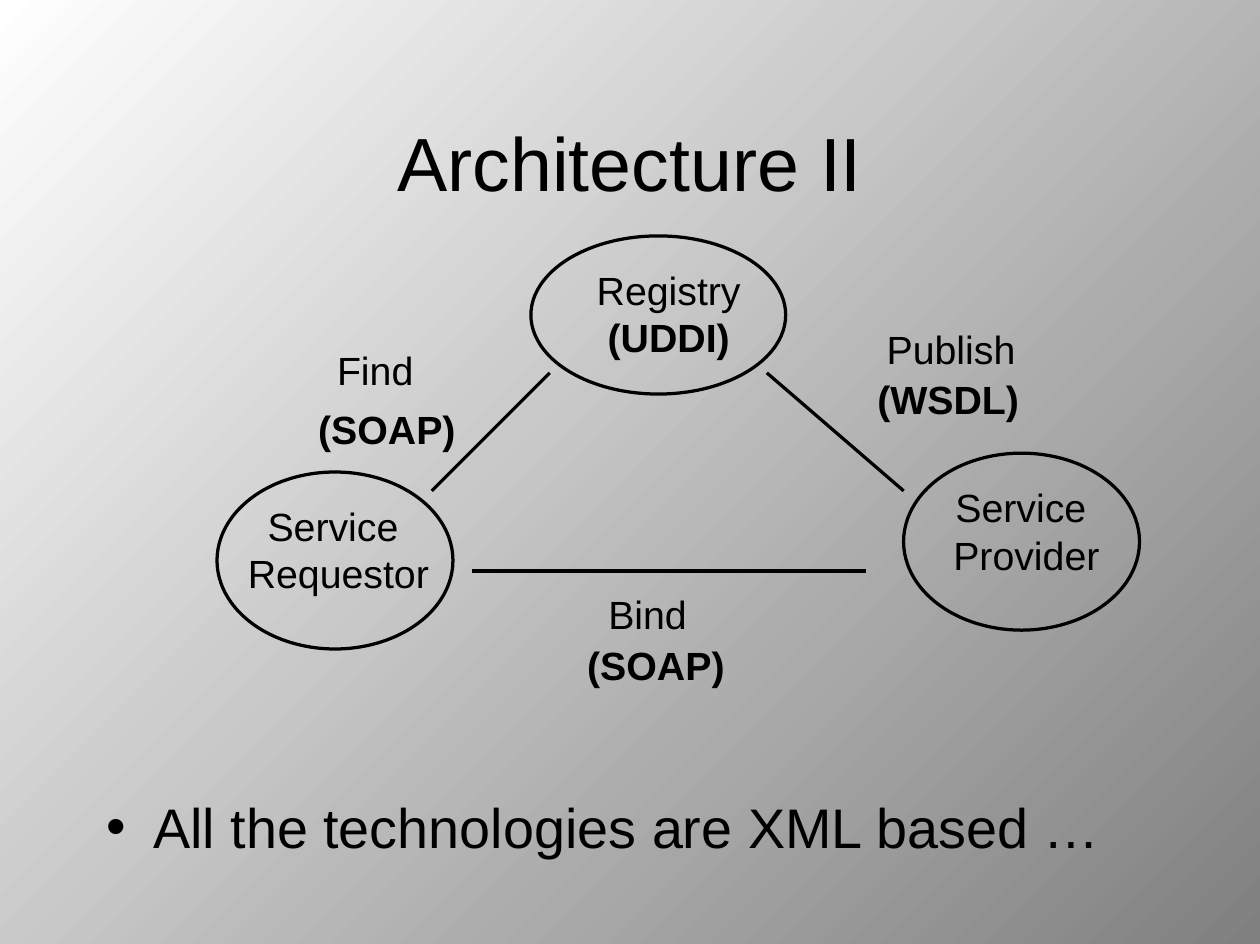
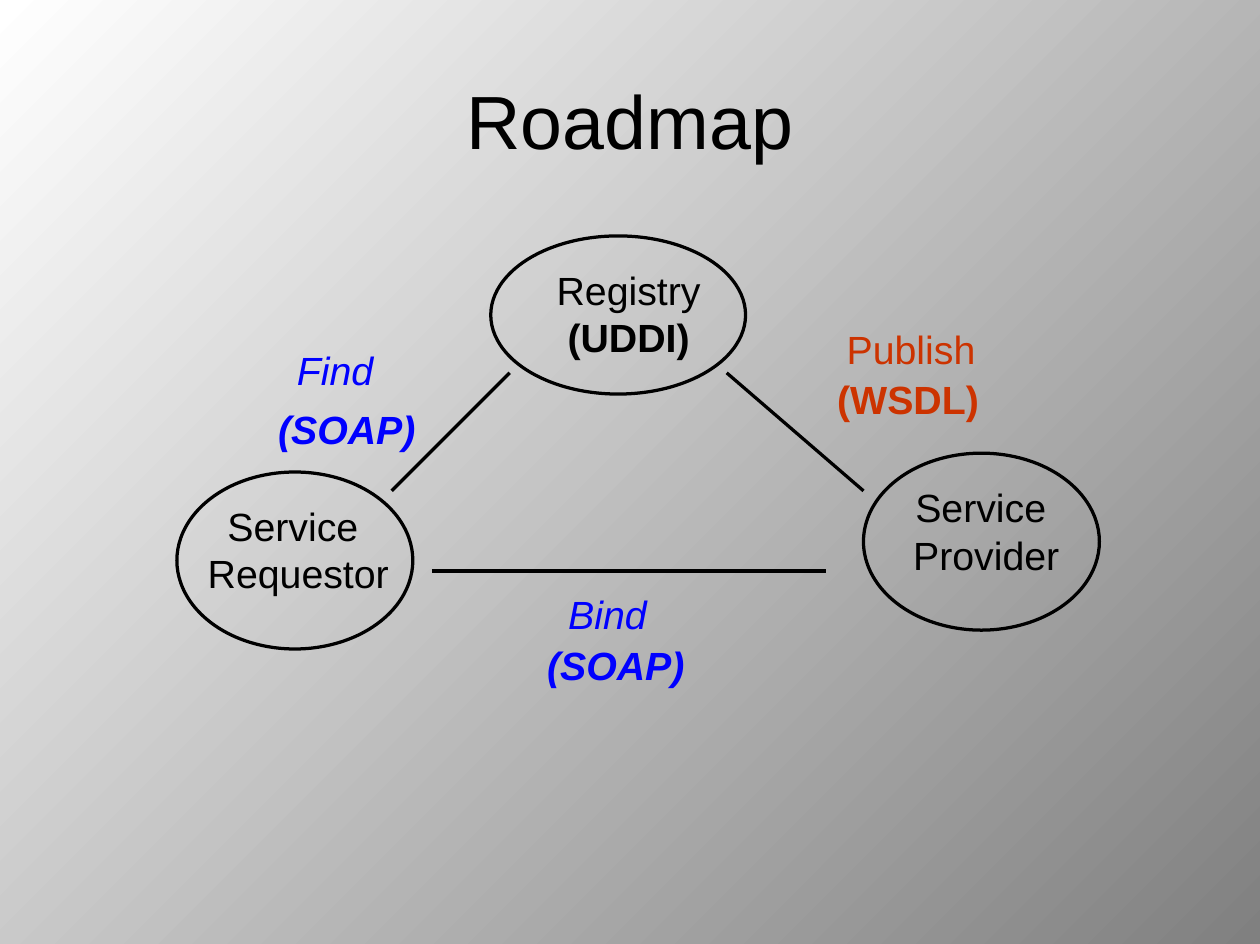
"""Build two slides on the architecture of web services."""
from dataclasses import dataclass

from lxml.etree import SubElement
from pptx import Presentation
from pptx.dml.color import RGBColor
from pptx.enum.shapes import MSO_CONNECTOR, MSO_SHAPE
from pptx.enum.text import MSO_ANCHOR, MSO_AUTO_SIZE, PP_ALIGN
from pptx.oxml.ns import qn
from pptx.util import Inches, Pt


@dataclass(frozen=True)
class Theme:
    font: str = "Arial"
    ink: RGBColor = RGBColor(0, 0, 0)
    find: RGBColor = RGBColor(0x00, 0x00, 0xFF)
    publish: RGBColor = RGBColor(0xCC, 0x33, 0x00)
    shade: RGBColor = RGBColor(0x80, 0x80, 0x80)
    light: RGBColor = RGBColor(0xFF, 0xFF, 0xFF)
    title_size: Pt = Pt(23)
    body_size: Pt = Pt(17)
    label_size: Pt = Pt(12)
    line_width: Pt = Pt(0.99)


theme = Theme()


def add_span(para, text, size, color=theme.ink, bold=False, italic=False):
    span = para.add_run()
    span.text = text
    span.font.name = theme.font
    span.font.size = size
    span.font.color.rgb = color
    span.font.bold = bold
    span.font.italic = italic


def add_label(shapes, place, lines, align, wrap=False, color=theme.ink, italic=False):
    box = shapes.add_textbox(*map(Inches, place))
    frame = box.text_frame
    frame.word_wrap = wrap
    frame.auto_size = MSO_AUTO_SIZE.SHAPE_TO_FIT_TEXT
    for index, (text, bold) in enumerate(lines):
        para = frame.add_paragraph() if index else frame.paragraphs[0]
        para.alignment = align
        add_span(para, text, theme.label_size, color, bold, italic)


roles = [
    ((2.25, 1, 1.08, 0.67), (2.42, 1.08, 0.83, 0.5), True,
     [("Registry", False), ("(UDDI)", True)]),
    ((0.92, 2, 1, 0.75), (0.95, 2.08, 0.97, 0.5), False,
     [("Service ", False), ("Requestor", False)]),
    ((3.83, 1.92, 1, 0.75), (3.94, 2, 0.82, 0.5), False,
     [("Service ", False), ("Provider", False)]),
]
links = [
    (2.33, 1.58, 1.83, 2.08),
    (3.25, 1.58, 3.83, 2.08),
    (2, 2.42, 3.67, 2.42),
]
actions = [
    ("find", "Find", (1.33, 1.42, 0.55, 0.3), False),
    ("publish", "Publish", (3.66, 1.33, 0.77, 0.3), False),
    ("find", "Bind", (2.48, 2.45, 0.56, 0.3), False),
    ("find", "(SOAP)", (1.25, 1.67, 0.78, 0.3), True),
    ("find", "(SOAP)", (2.39, 2.67, 0.78, 0.3), True),
    ("publish", "(WSDL)", (3.62, 1.54, 0.8, 0.3), True),
]
plain = {"find": (theme.ink, False), "publish": (theme.ink, False)}
highlighted = {"find": (theme.find, True), "publish": (theme.publish, False)}
pages = [
    ("Architecture II", 0.35, 0, plain, "All the technologies are XML based …"),
    ("Roadmap", 0.17, -0.17, highlighted, None),
]

deck = Presentation()
deck.slide_width = Inches(5.34)
deck.slide_height = Inches(4)

backdrop = deck.slide_master.background.fill
backdrop.gradient()
backdrop.gradient_angle = 135
for stop, position, color in zip(backdrop.gradient_stops, (0, 1), (theme.shade, theme.light)):
    stop.position = position
    stop.color.rgb = color

for heading, title_top, shift, styles, remark in pages:
    page = deck.slides.add_slide(deck.slide_layouts[5])
    title = page.shapes.title
    title.left, title.top = Inches(0.4), Inches(title_top)
    title.width, title.height = Inches(4.54), Inches(0.67)
    frames = [title.text_frame]
    title.text_frame.vertical_anchor = MSO_ANCHOR.MIDDLE
    para = title.text_frame.paragraphs[0]
    para.alignment = PP_ALIGN.CENTER
    add_span(para, heading, theme.title_size)

    if remark:
        box = page.shapes.add_textbox(Inches(0.4), Inches(3.33), Inches(4.54), Inches(0.45))
        frames.append(box.text_frame)
        para = box.text_frame.paragraphs[0]
        para.space_before = Pt(4.2)
        properties = para._p.get_or_add_pPr()
        properties.set("marL", str(Inches(0.2)))
        properties.set("indent", str(Inches(-0.2)))
        SubElement(properties, qn("a:buFont")).set("typeface", theme.font)
        SubElement(properties, qn("a:buChar")).set("char", "•")
        add_span(para, remark, theme.body_size)

    for frame in frames:
        frame.word_wrap = True
        frame.auto_size = MSO_AUTO_SIZE.NONE
        frame.margin_left = frame.margin_right = Inches(0.05)
        frame.margin_top = frame.margin_bottom = Inches(0.03)

    for (left, top, width, height), (label_left, *label_rest), wrap, lines in roles:
        group = page.shapes.add_group_shape()
        oval = group.shapes.add_shape(
            MSO_SHAPE.OVAL, *map(Inches, (left + shift, top, width, height)))
        oval.shadow.inherit = False
        oval.fill.background()
        oval.line.color.rgb = theme.ink
        oval.line.width = theme.line_width
        add_label(group.shapes, (label_left + shift, *label_rest), lines, PP_ALIGN.CENTER, wrap)

    for start_x, start_y, end_x, end_y in links:
        link = page.shapes.add_connector(
            MSO_CONNECTOR.STRAIGHT,
            *map(Inches, (start_x + shift, start_y, end_x + shift, end_y)))
        link.line.color.rgb = theme.ink
        link.line.width = theme.line_width
        SubElement(link._element.spPr, qn("a:effectLst"))

    for kind, text, (left, *rest), bold in actions:
        color, italic = styles[kind]
        add_label(page.shapes, (left + shift, *rest), [(text, bold)], PP_ALIGN.LEFT,
                  color=color, italic=italic)

deck.save("out.pptx")
